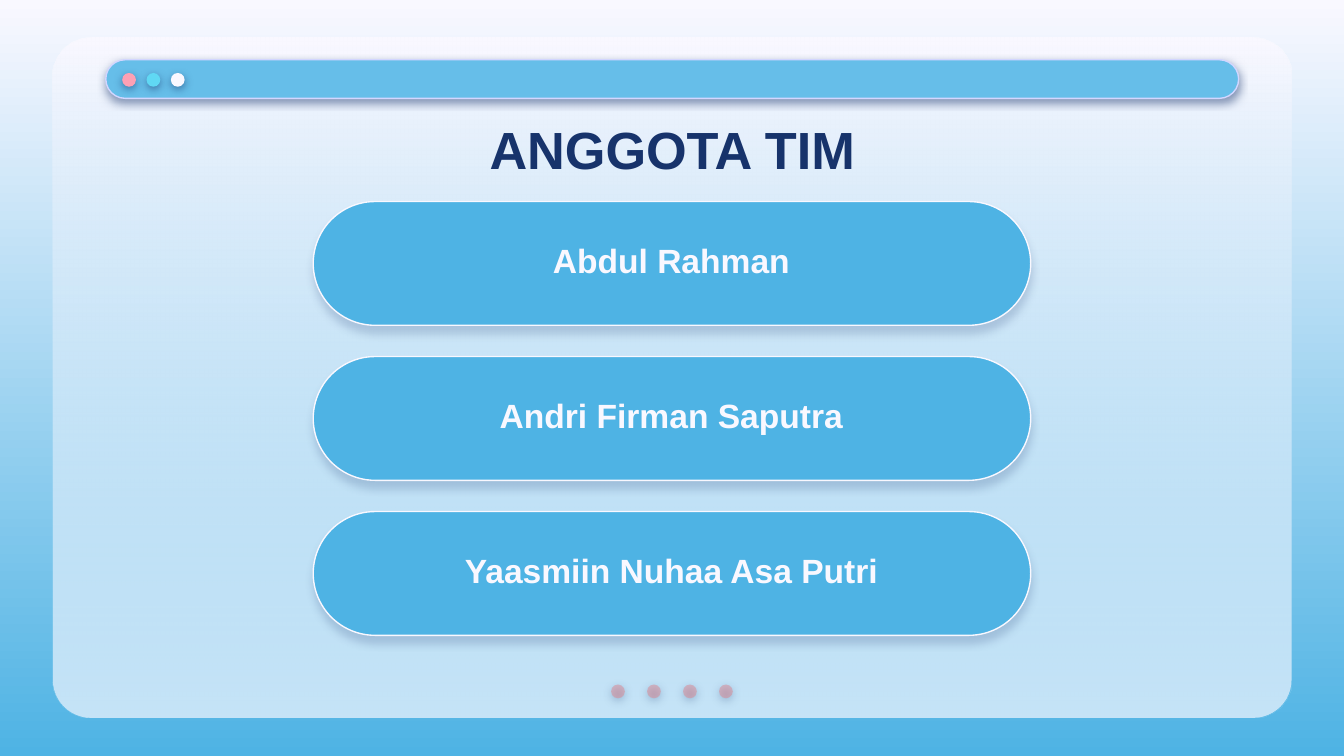
from lxml import etree
from pptx import Presentation
from pptx import util as u
from pptx.dml import color
from pptx.enum import shapes, text
from pptx.oxml import ns

PALE, SKY, SOFT_SKY, NAVY = "F9F8FF", "4EB3E4", "66BEE9", "17336B"
DOT_SHADOW = (50, 1.5)
PILL_SHADOW = (18, 3.8)


def rgb(value):
    """Return the colour for a hex string."""
    return color.RGBColor.from_string(value)


def set_attributes(target, values):
    """Set each named attribute on the target."""
    for name, value in values.items():
        setattr(target, name, value)


def add_child(parent, tag, **attributes):
    """Append a drawing element with the given attributes."""
    values = {name: str(value) for name, value in attributes.items()}
    return etree.SubElement(parent, ns.qn(tag), values)


def set_gradient(fill, top, bottom):
    """Give a fill a two-colour gradient from top to bottom."""
    fill.gradient()
    fill.gradient_angle = 270
    for stop, position, value in zip(fill.gradient_stops, (0, 1), (top, bottom)):
        stop.position = position
        stop.color.rgb = rgb(value)


def set_alpha(shape, percent):
    """Set the opacity of the last colour in the shape's own fill."""
    colours = shape._element.spPr.xpath("a:solidFill//a:srgbClr | a:gradFill//a:srgbClr")
    add_child(colours[-1], "a:alpha", val=percent * 1000)


def add_shadow(shape, opacity, distance):
    """Add a soft navy shadow below a shape."""
    effects = shape._element.spPr.find(ns.qn("a:effectLst"))
    shadow = add_child(effects, "a:outerShdw", blurRad=u.Pt(4.5), dist=u.Pt(distance),
                       dir=5400000, algn="bl", rotWithShape=0)
    colour = add_child(shadow, "a:srgbClr", val=NAVY)
    add_child(colour, "a:alpha", val=opacity * 1000)


def add_shape(slide, kind, box, fill, line=None, shadow=None):
    """Add a filled preset shape with an optional outline and shadow."""
    shape = slide.shapes.add_shape(kind, *map(u.Cm, box))
    shape.shadow.inherit = False
    shape.fill.solid()
    shape.fill.fore_color.rgb = rgb(fill)
    if line:
        shape.line.color.rgb = rgb(line)
        shape.line.width = u.Pt(0.75)
    else:
        shape.line.fill.background()
    if shadow:
        add_shadow(shape, *shadow)
    return shape


def add_rounded(slide, box, radius, fill, line=None, shadow=None):
    """Add a rounded rectangle."""
    shape = add_shape(slide, shapes.MSO_SHAPE.ROUNDED_RECTANGLE, box, fill, line, shadow)
    shape.adjustments[0] = radius
    return shape


def add_dots(slide, left, top, pitch, colours, opacity=None):
    """Add a row of small shadowed dots."""
    for index, fill in enumerate(colours):
        box = (left + index * pitch, top, 0.26, 0.26)
        dot = add_shape(slide, shapes.MSO_SHAPE.OVAL, box, fill, shadow=DOT_SHADOW)
        if opacity:
            set_alpha(dot, opacity)


def add_label(slide, box, words, size, fill, spacing=1.0):
    """Add a centred bold line of text."""
    frame = slide.shapes.add_textbox(*map(u.Cm, box)).text_frame
    margins = {f"margin_{side}": u.Cm(0.25) for side in ("left", "top", "right", "bottom")}
    set_attributes(frame, {"word_wrap": True,
                           "vertical_anchor": text.MSO_ANCHOR.MIDDLE, **margins})
    paragraph = frame.paragraphs[0]
    paragraph.text = words
    set_attributes(paragraph, {"alignment": text.PP_ALIGN.CENTER, "line_spacing": spacing})
    set_attributes(paragraph.font, {"name": "Arial", "size": u.Pt(size), "bold": True})
    paragraph.font.color.rgb = rgb(fill)


def add_window(slide):
    """Add the window panel with its title bar and dots."""
    panel = (1, 0.72, 23.41, 12.85)
    add_rounded(slide, panel, 0.056, PALE)
    veil = add_rounded(slide, panel, 0.056, PALE)
    set_gradient(veil.fill, PALE, SOFT_SKY)
    set_alpha(veil, 35)
    add_dots(slide, 11.55, 12.94, 0.68, ["E27B83"] * 4, 44)
    add_rounded(slide, (2, 1.13, 21.41, 0.73), 0.5, SOFT_SKY, "D2D6FF", DOT_SHADOW)
    add_dots(slide, 2.31, 1.38, 0.46, ["FDA0B4", "60D8F4", PALE])


def add_members(slide, names):
    """Add one pill with a name for each team member."""
    for index, name in enumerate(names):
        top = 3.81 + index * 2.93
        add_rounded(slide, (5.92, top, 13.56, 2.34), 0.5, SKY, PALE, PILL_SHADOW)
        add_label(slide, (5.92, top + 0.12, 13.54, 1.96), name, 18, PALE)


def main():
    """Build and save the team slide."""
    presentation = Presentation()
    set_attributes(presentation, {"slide_width": u.Cm(25.4), "slide_height": u.Cm(14.29)})
    slide = presentation.slides.add_slide(presentation.slide_layouts[6])
    set_gradient(slide.background.fill, PALE, SKY)
    add_window(slide)
    add_label(slide, (2, 1.93, 21.41, 1.6), "ANGGOTA TIM", 28, NAVY, 1.15)
    add_members(slide, ["Abdul Rahman", "Andri Firman Saputra", "Yaasmiin Nuhaa Asa Putri"])
    presentation.save("out.pptx")


if __name__ == "__main__":
    main()
